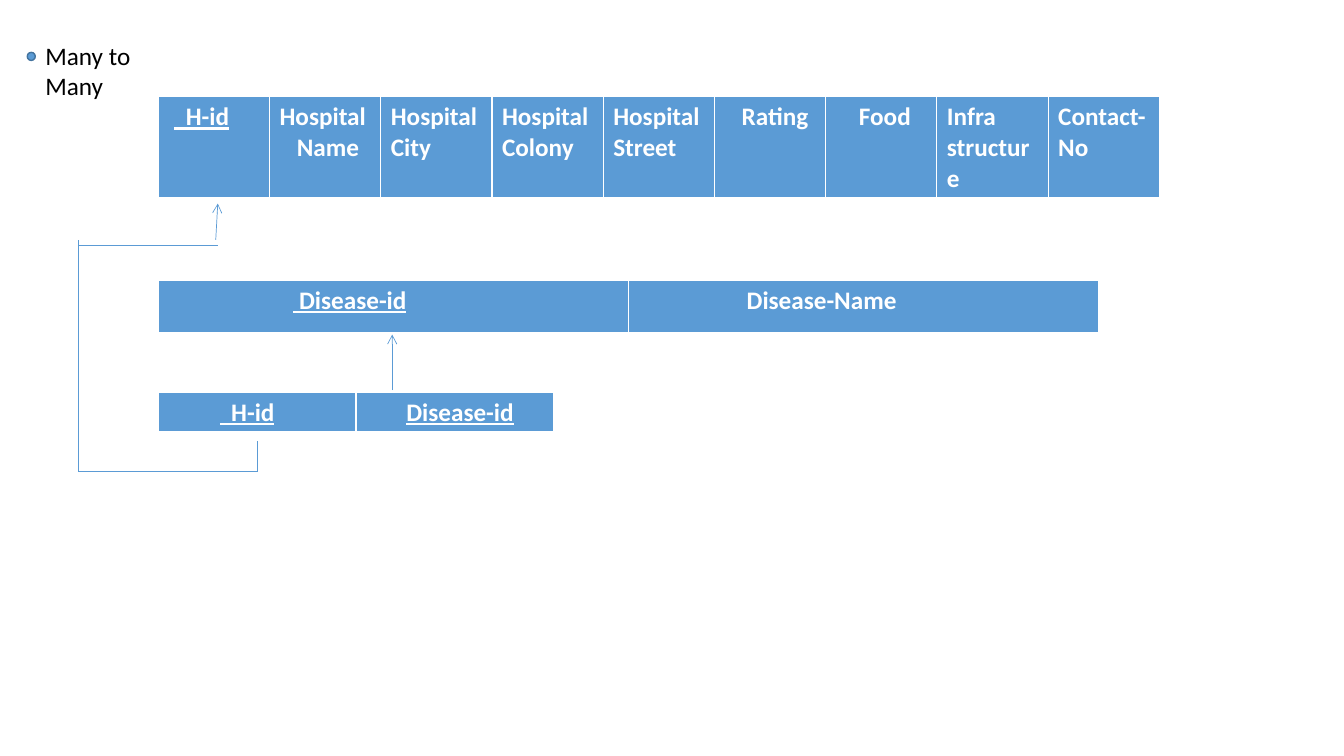
from lxml.etree import SubElement
from pptx import Presentation
from pptx.dml.color import RGBColor
from pptx.enum.shapes import MSO_CONNECTOR, MSO_SHAPE
from pptx.enum.text import MSO_ANCHOR, MSO_AUTO_SIZE, PP_ALIGN
from pptx.oxml.ns import qn
from pptx.util import Inches, Pt

FONT, BLUE, DARK_BLUE, WHITE, BLACK = "Calibri", "5B9BD5", "43739E", "FFFFFF", "000000"
TABLE_LEFT = 1.57
BORDERS = {"a:lnL": 1, "a:lnR": 1, "a:lnT": 1, "a:lnB": 3}

# Each cell lists its lines as (text, indent, underlined).
RELATIONS = [
    {"top": 0.96, "width": 9.93, "height": 1, "cells": [
        [("  H-id", 0.06, True)],
        [("Hospital", 0, False), ("Name", 0.17, False)],
        [("Hospital", 0, False), ("City", 0, False)],
        [("Hospital", 0, False), ("Colony", 0, False)],
        [("Hospital", 0, False), ("Street", 0, False)],
        [("Rating", 0.17, False)],
        [("Food", 0.23, False)],
        [("Infra", 0, False), ("structure", 0, False)],
        [("Contact-No", 0, False)],
    ]},
    {"top": 2.78, "width": 9.33, "height": 0.53, "cells": [
        [(" Disease-id", 1.24, True)],
        [("Disease-Name", 1.07, False)],
    ]},
    {"top": 3.89, "width": 3.92, "height": 0.4, "cells": [
        [("  H-id", 0.51, True)],
        [("Disease-id", 0.4, True)],
    ]},
]

LINKS = [
    ((3.89, 3.87), (3.89, 3.32), True),
    ((2.55, 4.38), (2.55, 4.68), False),
    ((2.55, 4.68), (0.77, 4.68), False),
    ((0.78, 4.68), (0.78, 2.38), False),
    ((0.78, 2.43), (2.16, 2.43), False),
    ((2.14, 2.38), (2.16, 2.02), True),
]


def color(value):
    return RGBColor.from_string(value)


def add_run(paragraph, text, text_color, bold=False, underline=False):
    run = paragraph.add_run()
    run.text = text
    run.font.name, run.font.size = FONT, Pt(18)
    run.font.bold, run.font.underline = bold, underline
    run.font.color.rgb = color(text_color)


def add_borders(cell):
    properties = cell._tc.get_or_add_tcPr()
    for side, points in BORDERS.items():
        border = SubElement(properties, qn(side), w=str(Pt(points)))
        fill = SubElement(border, qn("a:solidFill"))
        SubElement(fill, qn("a:srgbClr"), val=WHITE)


def fill_cell(cell, lines):
    add_borders(cell)
    cell.fill.solid()
    cell.fill.fore_color.rgb = color(BLUE)
    for index, (text, indent, underline) in enumerate(lines):
        frame = cell.text_frame
        paragraph = frame.add_paragraph() if index else frame.paragraphs[0]
        properties = paragraph._p.get_or_add_pPr()
        properties.set("marL", str(Inches(indent)))
        properties.set("indent", "0")
        add_run(paragraph, text, WHITE, True, underline)


def add_relation(slide, relation):
    cells = relation["cells"]
    table = slide.shapes.add_table(
        1, len(cells), Inches(TABLE_LEFT), Inches(relation["top"]),
        Inches(relation["width"]), Inches(relation["height"])).table
    for column, lines in enumerate(cells):
        fill_cell(table.cell(0, column), lines)


def add_link(slide, start, end, has_arrow):
    link = slide.shapes.add_connector(
        MSO_CONNECTOR.STRAIGHT, *map(Inches, start + end))
    link.line.color.rgb = color(BLUE)
    link.line.width = Pt(0.5)
    if has_arrow:
        SubElement(link.line._get_or_add_ln(), qn("a:tailEnd"), type="arrow")
    SubElement(link._element.spPr, qn("a:effectLst"))


def add_title(slide, text):
    title = slide.shapes.title
    title.left, title.top, title.width, title.height = map(Inches, (0.35, 0.35, 1.67, 0.4))
    frame = title.text_frame
    frame.word_wrap, frame.auto_size = False, MSO_AUTO_SIZE.NONE
    frame.vertical_anchor = MSO_ANCHOR.TOP
    paragraph = frame.paragraphs[0]
    paragraph.alignment = PP_ALIGN.LEFT
    add_run(paragraph, text, BLACK)


def add_bullet(slide):
    bullet = slide.shapes.add_shape(
        MSO_SHAPE.OVAL, *map(Inches, (0.27, 0.52, 0.08, 0.08)))
    bullet.rotation = 29
    bullet.shadow.inherit = False
    bullet.fill.solid()
    bullet.fill.fore_color.rgb = color(BLUE)
    bullet.line.color.rgb = color(DARK_BLUE)
    bullet.line.width = Pt(1)


presentation = Presentation()
presentation.slide_width, presentation.slide_height = Inches(13.33), Inches(7.5)
slide = presentation.slides.add_slide(presentation.slide_layouts[5])
add_title(slide, "Many to Many")
for relation in RELATIONS:
    add_relation(slide, relation)
add_bullet(slide)
for start, end, has_arrow in LINKS:
    add_link(slide, start, end, has_arrow)
presentation.save("out.pptx")
